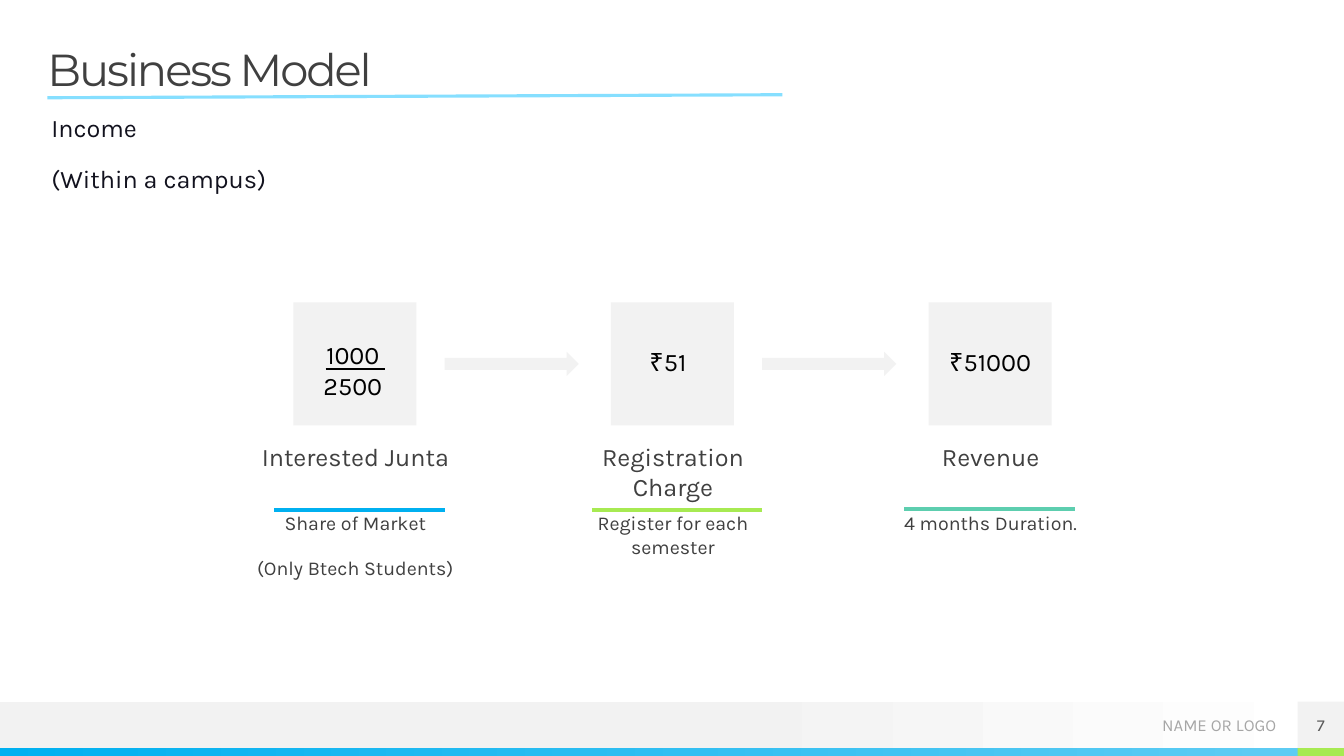
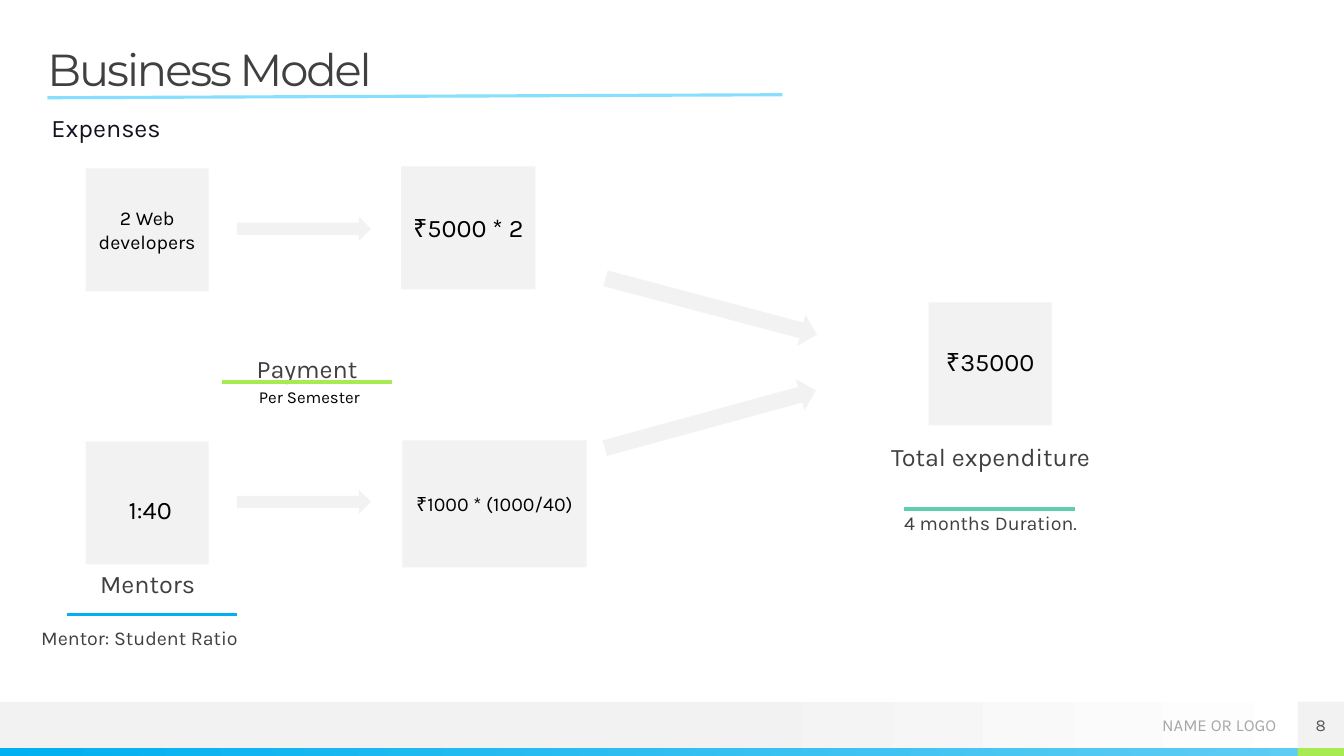
from lxml import etree
from pptx import Presentation
from pptx.dml.color import RGBColor
from pptx.enum import shapes, text
from pptx.oxml import ns
from pptx.util import Inches, Pt

COLOURS = {
    "panel": "F2F2F2", "white": "FFFFFF", "blue": "00B0F0", "sky": "5ECCF3",
    "pale_blue": "86DFFF", "green": "A7EA52", "teal": "5DCEAF", "black": "000000",
    "ink": "12121E", "heading": "404040", "number": "595959", "footer": "A6A6A6",
}
BODY_FONT, TITLE_FONT = "Karla", "Montserrat"
TILE = 1.22
BAND_TOP, BAND_HEIGHT = 6.96, 0.46
STRIPE_TOP, STRIPE_HEIGHT = 7.42, 0.08
CORNER_LEFT, CORNER_WIDTH = 12.87, 0.46
LABEL_WIDTH, RULE_WIDTH = 2.17, 1.69
LEFT, CENTER, RIGHT = text.PP_ALIGN.LEFT, text.PP_ALIGN.CENTER, text.PP_ALIGN.RIGHT
TOP, MIDDLE = text.MSO_ANCHOR.TOP, text.MSO_ANCHOR.MIDDLE


def colour(name):
    """Return the named colour."""
    return RGBColor.from_string(COLOURS[name])


def write(box, lines, size, shade, align=CENTER, anchor=TOP, inset=0.0, gap=0, font=BODY_FONT):
    """Fill a box with evenly formatted paragraphs."""
    frame = box.text_frame
    frame.word_wrap = True
    frame.vertical_anchor = anchor
    frame.margin_left = frame.margin_right = Inches(inset)
    frame.margin_top = frame.margin_bottom = Inches(inset / 2)
    for index, line in enumerate(lines):
        para = frame.paragraphs[0] if index == 0 else frame.add_paragraph()
        para.add_run().text = line
        para.alignment = align
        para.space_before = Pt(gap if index else 0)
        para.space_after = Pt(gap / 2)
        para.font.size = Pt(size)
        para.font.name = font
        para.font.color.rgb = colour(shade)


def add_text(page, left, top, width, height, lines, size, shade, **style):
    """Add a text box."""
    box = page.shapes.add_textbox(Inches(left), Inches(top), Inches(width), Inches(height))
    write(box, lines, size, shade, **style)


def add_value(page, left, top, width, height, lines, size=18, align=CENTER):
    """Add a black figure with normal insets."""
    add_text(page, left, top, width, height, lines, size, "black", align=align, inset=0.1)


def add_panel(page, left, top, width, height, shade="panel", kind="RECTANGLE"):
    """Add a plain filled shape without outline."""
    panel = page.shapes.add_shape(getattr(shapes.MSO_SHAPE, kind), Inches(left), Inches(top),
                                  Inches(width), Inches(height))
    panel.shadow.inherit = False
    panel.line.fill.background()
    panel.fill.solid()
    panel.fill.fore_color.rgb = colour(shade)
    return panel


def add_gradient(page, left, top, width, height, stops):
    """Add a panel shaded from left to right."""
    fill = add_panel(page, left, top, width, height).fill
    fill.gradient()
    fill.gradient_angle = 0
    for stop, (position, shade) in zip(fill.gradient_stops, stops):
        stop.position = position
        stop.color.rgb = colour(shade)


def add_tile(page, left, top, width=TILE, height=TILE, caption=None, size=18):
    """Add a grey tile with an optional centred caption."""
    tile = add_panel(page, left, top, width, height)
    if caption:
        write(tile, [caption], size, "black", anchor=MIDDLE, inset=0.1)


def add_arrow(page, left, top, width=1.33, height=0.24, angle=0):
    """Add a grey block arrow."""
    arrow = add_panel(page, left, top, width, height, kind="RIGHT_ARROW")
    arrow.rotation = angle


def add_rule(page, left, top, right, bottom, shade, weight=2.25):
    """Add a straight line."""
    rule = page.shapes.add_connector(shapes.MSO_CONNECTOR.STRAIGHT, Inches(left), Inches(top),
                                     Inches(right), Inches(bottom))
    rule.line.color.rgb = colour(shade)
    rule.line.width = Pt(weight)
    etree.SubElement(rule._element.spPr, ns.qn("a:effectLst"))


def add_label(page, left, top, caption, rule_left, rule_top, shade):
    """Add a caption with a coloured rule below it."""
    add_text(page, left, top, LABEL_WIDTH, 0.39, [caption], 18, "heading", gap=10)
    add_rule(page, rule_left, rule_top, rule_left + RULE_WIDTH, rule_top, shade)


def add_details(page, left, top, lines):
    """Add the small lines that explain a label."""
    add_text(page, left, top, LABEL_WIDTH, 0.79, lines, 14, "heading", gap=10)


def add_result(page, amount, caption):
    """Add the closing tile with its amount and label."""
    add_tile(page, 9.21, 3)
    add_value(page, 9.26, 3.39, 1.12, 0.4, [amount])
    add_label(page, 8.74, 4.38, caption, 8.97, 5.05, "teal")
    add_details(page, 8.74, 5.07, ["4 months Duration."])


def add_page(deck, number, subtitle):
    """Add a slide with the shared title, bands and footer."""
    page = deck.slides.add_slide(deck.slide_layouts[5])
    add_gradient(page, 0, BAND_TOP, 13.33, BAND_HEIGHT, [(0.53, "panel"), (1, "white")])
    add_gradient(page, 0, STRIPE_TOP, CORNER_LEFT, STRIPE_HEIGHT, [(0, "blue"), (1, "sky")])
    add_panel(page, CORNER_LEFT, STRIPE_TOP, CORNER_WIDTH, STRIPE_HEIGHT, "green")
    add_text(page, 10.42, BAND_TOP, 2.24, 0.47, ["NAME OR LOGO"], 12, "footer",
             align=RIGHT, anchor=MIDDLE)
    corner = add_panel(page, CORNER_LEFT, BAND_TOP, CORNER_WIDTH, BAND_HEIGHT)
    write(corner, [str(number)], 12, "number", anchor=MIDDLE)

    title = page.shapes.title
    title.left, title.top, title.width, title.height = map(Inches, (0.47, 0.47, 12.4, 0.47))
    write(title, ["Business Model"], 32, "heading", align=LEFT, font=TITLE_FONT)
    title.text_frame.auto_size = text.MSO_AUTO_SIZE.NONE
    para = title.text_frame.paragraphs[0]
    para.line_spacing = 0.9
    para.runs[0].font._element.set("spc", "-150")
    add_rule(page, 0.47, 0.97, 7.76, 0.94, "pale_blue")
    add_text(page, 0.51, 1.11, 12.4, 0.39, subtitle, 18, "ink", align=LEFT, gap=10)
    return page


def build_income(deck):
    """Build the income slide."""
    page = add_page(deck, 7, ["Income", "(Within a campus)"])
    steps = [
        ("Interested Junta", "blue", ["Share of Market", "(Only Btech Students)"]),
        ("Registration Charge", "green", ["Register for each semester"]),
    ]
    for index, (caption, shade, details) in enumerate(steps):
        left = 2.91 + 3.15 * index
        add_tile(page, left, 3)
        add_label(page, left - 0.47, 4.38, caption, left - 0.19, 5.06, shade)
        add_details(page, left - 0.47, 5.07, details)
        add_arrow(page, left + 1.5, 3.49)
    add_value(page, 3, 3.32, 1, 0.71, ["1000", "2500"])
    add_rule(page, 3.23, 3.66, 3.82, 3.66, "black", 2)
    add_value(page, 6.2, 3.39, 0.85, 0.4, ["₹51"])
    add_result(page, "₹51000", "Revenue")


def build_expenses(deck):
    """Build the expenses slide."""
    page = add_page(deck, 8, ["Expenses"])
    add_tile(page, 0.85, 1.67, caption="2 Web developers", size=14)
    add_tile(page, 3.98, 1.65, width=1.33, caption="₹5000 * 2")
    add_tile(page, 0.85, 4.38)
    add_value(page, 1.1, 4.86, 0.78, 0.4, ["1:40"])
    add_tile(page, 3.99, 4.37, 1.83, 1.26, "₹1000 * (1000/40)", 14)
    for top in (2.15, 4.86):
        add_arrow(page, 2.35, top)
    add_arrow(page, 5.97, 2.88, 2.17, 0.32, 14.9)
    add_arrow(page, 5.96, 4, 2.17, 0.32, -15.3)
    add_label(page, 1.96, 3.5, "Payment", 2.2, 3.79, "green")
    add_value(page, 2.47, 3.79, 1.3, 0.3, ["Per Semester"], 12, LEFT)
    add_label(page, 0.38, 5.64, "Mentors", 0.66, 6.1, "blue")
    add_details(page, 0.3, 6.21, ["Mentor: Student Ratio"])
    add_result(page, "₹35000", "Total expenditure")


def main():
    """Build and save the deck."""
    deck = Presentation()
    deck.slide_width, deck.slide_height = Inches(13.33), Inches(7.5)
    build_income(deck)
    build_expenses(deck)
    deck.save("out.pptx")


if __name__ == "__main__":
    main()
